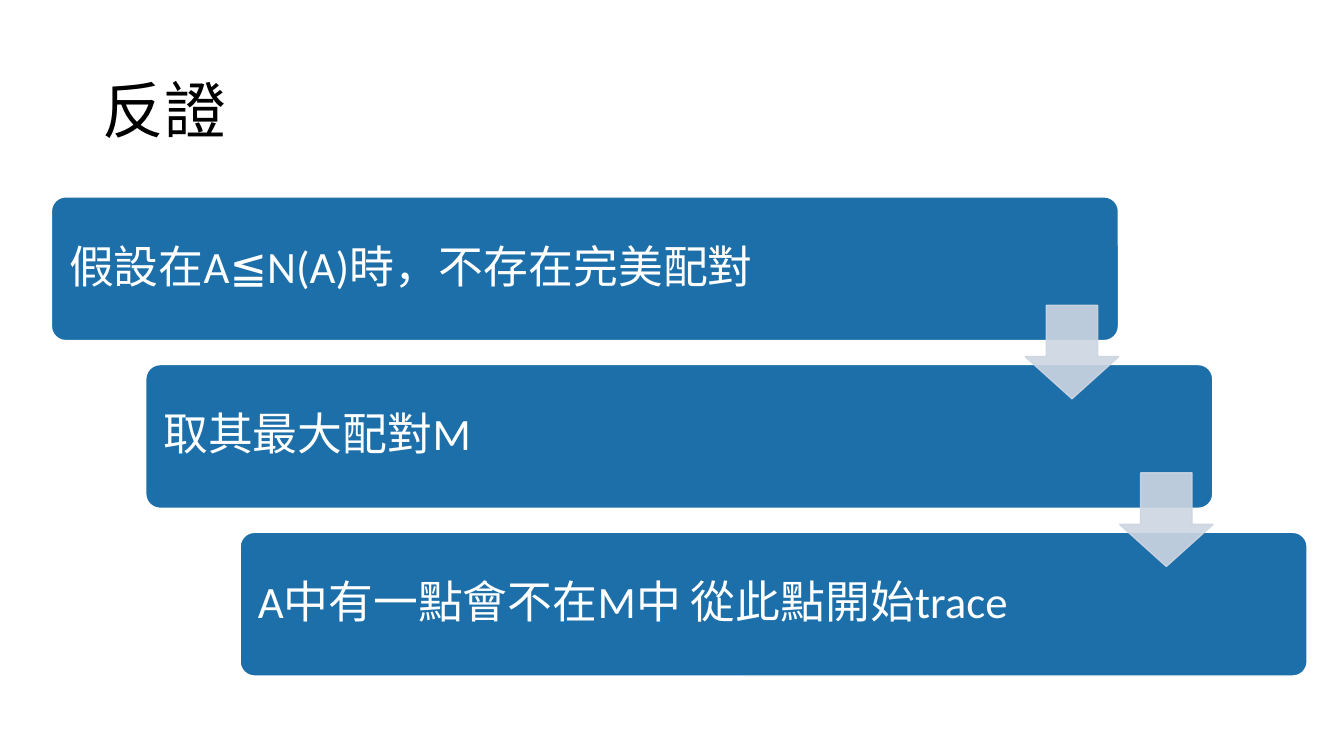
from dataclasses import dataclass

import lxml.etree
import pptx
import pptx.dml.color
import pptx.enum.shapes
import pptx.enum.text
import pptx.oxml.ns
import pptx.util

Pt = pptx.util.Pt
SHAPES = pptx.enum.shapes.MSO_SHAPE
FONT = "Calibri"
STEP_X, STEP_Y = 67.4, 119.8  # offset from one stair to the next


@dataclass
class Block:
    left: float
    top: float
    width: float
    height: float
    fill: str
    line: str

    def moved(self, index: int) -> "Block":
        return Block(self.left + index * STEP_X, self.top + index * STEP_Y,
                     self.width, self.height, self.fill, self.line)


STAIR = Block(36.7, 140.6, 762.2, 102.7, "1D6FA9", "FFFFFF")
ARROW = Block(732.3, 218, 66.8, 66.8, "CDD5E2", "CDD5E2")
STATEMENTS = [
    "假設在A≦N(A)時，不存在完美配對",
    "取其最大配對M",
    "A中有一點會不在M中 從此點開始trace",
]


def colour(code: str) -> pptx.dml.color.RGBColor:
    return pptx.dml.color.RGBColor.from_string(code)


def write(shape, text: str, size: float, code: str) -> None:
    frame = shape.text_frame
    frame.text = text
    frame.word_wrap = True
    frame.vertical_anchor = pptx.enum.text.MSO_ANCHOR.MIDDLE
    para = frame.paragraphs[0]
    para.alignment = pptx.enum.text.PP_ALIGN.LEFT
    para.line_spacing = 0.9
    para.font.name = FONT
    para.font.size = Pt(size)
    para.font.color.rgb = colour(code)


def add_block(page, block: Block, preset, adjustments: list[float]):
    shape = page.shapes.add_shape(preset, Pt(block.left), Pt(block.top),
                                  Pt(block.width), Pt(block.height))
    for index, value in enumerate(adjustments):
        shape.adjustments[index] = value
    shape.shadow.inherit = False
    shape.fill.solid()
    shape.fill.fore_color.rgb = colour(block.fill)
    shape.line.color.rgb = colour(block.line)
    shape.line.width = Pt(1)
    return shape


def add_stair(page, block: Block, text: str) -> None:
    shape = add_block(page, block, SHAPES.ROUNDED_RECTANGLE, [0.1])
    frame = shape.text_frame
    frame.margin_left = frame.margin_right = Pt(9.6)
    frame.margin_top = frame.margin_bottom = Pt(9.6)
    write(shape, text, 32, "FFFFFF")


def add_arrow(page, block: Block) -> None:
    shape = add_block(page, block, SHAPES.DOWN_ARROW, [0.55, 0.45])
    # Fill and outline are both 90 % opaque
    properties = shape.fill._xPr
    for tint in properties.iter(pptx.oxml.ns.qn("a:srgbClr")):
        lxml.etree.SubElement(tint, pptx.oxml.ns.qn("a:alpha"), val="90000")


def main() -> None:
    deck = pptx.Presentation()
    deck.slide_width, deck.slide_height = Pt(960), Pt(540)
    page = deck.slides.add_slide(deck.slide_layouts[5])

    # Title
    title = page.shapes.title
    title.left, title.top = Pt(66), Pt(28.75)
    title.width, title.height = Pt(828), Pt(104.4)
    write(title, "反證", 44, "000000")

    # Staircase of statements, then the arrows between them
    for index, statement in enumerate(STATEMENTS):
        add_stair(page, STAIR.moved(index), statement)
    for index in range(len(STATEMENTS) - 1):
        add_arrow(page, ARROW.moved(index))

    deck.save("out.pptx")


if __name__ == "__main__":
    main()
